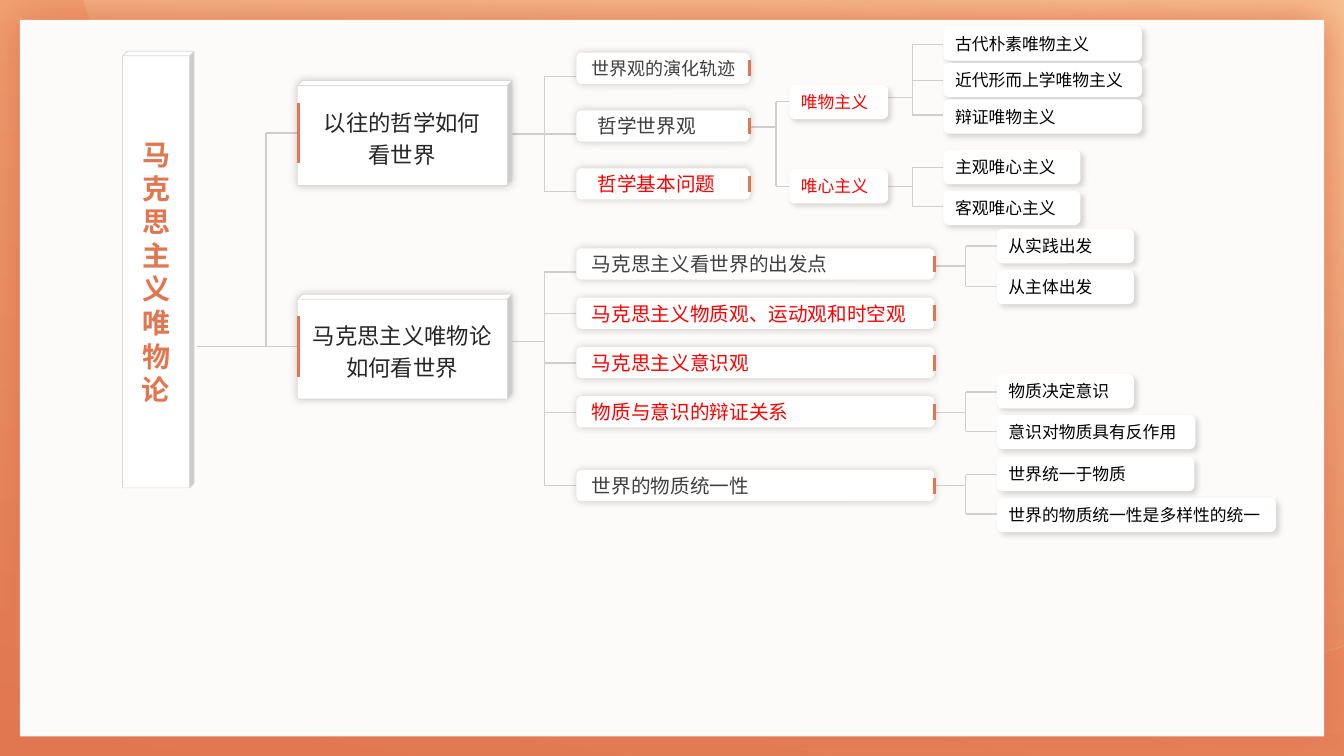
import pptx
import pptx.dml.color
import pptx.enum.shapes
import pptx.enum.text
import pptx.oxml
import pptx.oxml.ns
import pptx.util

Pt = pptx.util.Pt
RGB = pptx.dml.color.RGBColor
SHAPE = pptx.enum.shapes.MSO_SHAPE
ALIGN = pptx.enum.text.PP_ALIGN
qn = pptx.oxml.ns.qn

ORANGE = RGB(0xE1, 0x77, 0x51)
PEACH = RGB(0xF4, 0xAD, 0x7D)
CREAM = RGB(0xFD, 0xD5, 0xA6)
PAPER = RGB(0xFD, 0xFB, 0xF9)
WHITE = RGB(0xFF, 0xFF, 0xFF)
BLACK = RGB(0, 0, 0)
RED = RGB(0xFF, 0, 0)
INK = RGB(0x26, 0x26, 0x26)
GRAY = RGB(0x40, 0x40, 0x40)
EDGE = RGB(0xD9, 0xD9, 0xD9)
BRANCH = RGB(0xD0, 0xCE, 0xCE)


def bezier(p0, p1, p2, p3, steps=24):
    """Points along a cubic curve, without its start."""
    for i in range(1, steps + 1):
        t = i / steps
        u = 1 - t
        yield tuple(u**3 * a + 3 * u * u * t * b + 3 * u * t * t * c + t**3 * d
                    for a, b, c, d in zip(p0, p1, p2, p3))


class MindMap:
    font = "Noto Sans CJK SC"

    def __init__(self, slide):
        self.s = slide

    def shape(self, kind, x, y, w, h, fill=WHITE, edge=None, shadow=None):
        sp = self.s.shapes.add_shape(kind, Pt(x), Pt(y), Pt(w), Pt(h))
        self.style(sp, edge, shadow)
        sp.fill.solid()
        sp.fill.fore_color.rgb = fill
        return sp

    def style(self, sp, edge=None, shadow=None):
        sp.shadow.inherit = False
        if edge is None:
            sp.line.fill.background()
        else:
            sp.line.color.rgb = edge
            sp.line.width = Pt(0.5)
        if shadow:
            color, alpha, blur, dist, angle = shadow
            sp._element.spPr.find(qn("a:effectLst")).append(pptx.oxml.parse_xml(
                f'<a:outerShdw {pptx.oxml.ns.nsdecls("a")} blurRad="{Pt(blur)}" '
                f'dist="{Pt(dist)}" dir="{angle * 60000}" algn="ctr" rotWithShape="0">'
                f'<a:srgbClr val="{color}"><a:alpha val="{alpha * 1000}"/>'
                '</a:srgbClr></a:outerShdw>'))

    def gradient(self, sp, start, end, alpha=100):
        sp.fill.gradient()
        sp.fill.gradient_angle = 80
        for stop, color in zip(sp.fill.gradient_stops, (start, end)):
            stop.color.rgb = color
        if alpha < 100:
            clr = list(sp._element.spPr.iter(qn("a:srgbClr")))[-1]
            clr.append(clr.makeelement(qn("a:alpha"), {"val": str(alpha * 1000)}))

    def outline(self, points):
        pts = [(Pt(x), Pt(y)) for x, y in points]
        fb = self.s.shapes.build_freeform(*pts[0])
        fb.add_line_segments(pts[1:], close=True)
        sp = fb.convert_to_shape()
        self.style(sp)
        return sp

    def line(self, x1, y1, x2, y2, color=BRANCH, width=1):
        ln = self.s.shapes.add_connector(
            pptx.enum.shapes.MSO_CONNECTOR.STRAIGHT, Pt(x1), Pt(y1), Pt(x2), Pt(y2))
        ln.line.color.rgb = color
        ln.line.width = Pt(width)
        spPr = ln._element.spPr
        spPr.append(spPr.makeelement(qn("a:effectLst"), {}))

    def tree(self, stem_x, stem_y, child_x, child_ys):
        trunk = child_x - 22.3
        self.line(stem_x, stem_y, trunk, stem_y)
        self.line(trunk, child_ys[0], trunk, child_ys[-1])
        for y in child_ys:
            self.line(trunk, y, child_x, y)

    def text(self, sp, text, size, color, align=ALIGN.LEFT, bold=False,
             spacing=None, indent=0):
        tf = sp.text_frame
        tf.word_wrap = True
        tf.vertical_anchor = pptx.enum.text.MSO_ANCHOR.MIDDLE
        tf.text = text
        for p in tf.paragraphs:
            p.alignment = align
            if spacing:
                p.line_spacing = spacing
            pPr = p._p.get_or_add_pPr()
            if indent:
                pPr.set("marL", str(Pt(indent)))
            p.font.size = Pt(size)
            p.font.bold = bold
            p.font.color.rgb = color
            p.font.name = self.font
            rPr = pPr.find(qn("a:defRPr"))
            rPr.append(rPr.makeelement(qn("a:ea"), {"typeface": self.font}))

    def block(self, y, text):
        sp = self.shape(SHAPE.CUBE, 212.4, y, 153.4, 74.9, edge=EDGE,
                        shadow=(BLACK, 20, 6, 0, 315))
        sp.adjustments[0] = 0.048
        self.text(sp, text, 16, INK, ALIGN.CENTER, spacing=1.2)
        self.line(213.1, y + 15.8, 213.1, y + 59, ORANGE, 2)

    def topic(self, y, w, text, color=GRAY, size=14, indent=2.9):
        sp = self.shape(SHAPE.ROUNDED_RECTANGLE, 411.8, y, w, 22.3,
                        shadow=(BLACK, 20, 6, 0, 315))
        self.text(sp, text, size, color, indent=indent)
        self.line(411.8 + w, y + 5.6, 411.8 + w, y + 17, ORANGE, 2)

    def leaf(self, x, y, w, text, color=BLACK):
        sp = self.shape(SHAPE.ROUNDED_RECTANGLE, x, y, w, 24.5,
                        shadow=(BLACK, 15, 4, 3, 45))
        self.text(sp, text, 12, color)
        sp.text_frame.auto_size = pptx.enum.text.MSO_AUTO_SIZE.SHAPE_TO_FIT_TEXT


def main():
    prs = pptx.Presentation()
    prs.slide_width, prs.slide_height = Pt(960), Pt(540)
    m = MindMap(prs.slides.add_slide(prs.slide_layouts[6]))

    # Background frame
    m.gradient(m.shape(SHAPE.RECTANGLE, 0, 0, 960, 540), ORANGE, PEACH)
    swoosh = m.outline([
        (60, 0), (960, 0), (960, 461), (947, 465),
        *bezier((947, 465), (880, 486), (809, 497), (736, 497)),
        *bezier((736, 497), (430, 497), (170, 303), (70.6, 31.7))])
    m.gradient(swoosh, ORANGE, CREAM, alpha=50)
    m.shape(SHAPE.RECTANGLE, 14.2, 14.2, 931.6, 511.8, PAPER,
            shadow=(ORANGE, 100, 30, 0, 0))

    # Branches: stem x, stem y, child x, child heights
    for branch in (
            (140.4, 247.7, 212.4, (95, 247.7)),
            (327.6, 95.8, 411.1, (54.7, 95.8, 136.8)),
            (327.6, 244.1, 411.1, (194.4, 223.9, 259.2, 294.5, 347)),
            (494.6, 90.7, 576.7, (72.7, 133.2)),
            (591.8, 69.8, 673.9, (31.7, 57.6, 82.1)),
            (591.8, 133.2, 673.9, (119.5, 147.6)),
            (630.7, 190.1, 712.1, (175.7, 204.5)),
            (630.7, 294.5, 712.1, (280.1, 308.2)),
            (630.7, 347, 712.1, (339.1, 367.2))):
        m.tree(*branch)

    # Root and main blocks
    root = m.shape(SHAPE.CUBE, 87.5, 36.7, 51.1, 311.8, edge=EDGE)
    root.adjustments[0] = 0.063
    m.text(root, "马克思主义唯物论", 20, ORANGE, ALIGN.CENTER, bold=True)
    m.block(57.6, "以往的哲学如何\n看世界")
    m.block(210.2, "马克思主义唯物论如何看世界")

    # Topics
    m.topic(37.6, 123.8, "世界观的演化轨迹", size=12.9)
    m.topic(78.9, 123.8, "哲学世界观", indent=6.9)
    m.topic(120.2, 123.8, "哲学基本问题", RED, indent=6.9)
    for y, text, color in (
            (177.4, "马克思主义看世界的出发点", GRAY),
            (212.6, "马克思主义物质观、运动观和时空观", RED),
            (247.8, "马克思主义意识观", RED),
            (283, "物质与意识的辩证关系", RED),
            (335.7, "世界的物质统一性", GRAY)):
        m.topic(y, 255.6, text, color)

    # Schools of thought
    m.leaf(563.8, 60.6, 70.6, "唯物主义", RED)
    m.leaf(563.8, 120.8, 70.6, "唯心主义", RED)

    # Leaves
    for x, y, w, text in (
            (673.9, 18.8, 141.8, "古代朴素唯物主义"),
            (673.9, 44.9, 141.8, "近代形而上学唯物主义"),
            (673.9, 71, 141.8, "辩证唯物主义"),
            (673.9, 107.1, 97.9, "主观唯心主义"),
            (673.9, 136.3, 97.9, "客观唯心主义"),
            (712.1, 163.6, 97.9, "从实践出发"),
            (712.1, 192.8, 97.9, "从主体出发"),
            (712.1, 267.2, 97.9, "物质决定意识"),
            (712.1, 296.4, 141.8, "意识对物质具有反作用"),
            (712.1, 326.4, 141.1, "世界统一于物质"),
            (712.1, 355.6, 199.4, "世界的物质统一性是多样性的统一")):
        m.leaf(x, y, w, text)

    prs.save("out.pptx")


if __name__ == "__main__":
    main()
